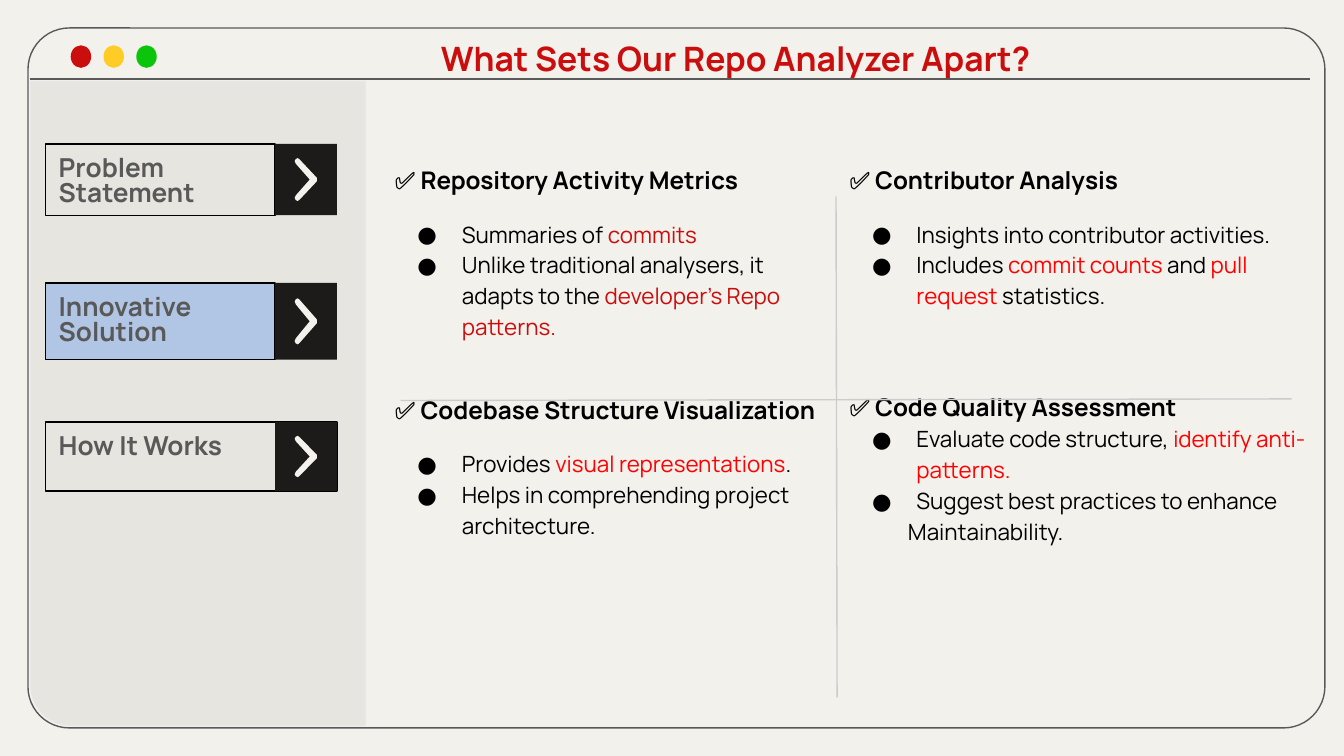
from dataclasses import dataclass

from lxml.etree import SubElement as Sub
from pptx import Presentation
from pptx.dml.color import RGBColor as RGB
from pptx.enum.shapes import MSO_CONNECTOR as Conn, MSO_SHAPE as Kind
from pptx.enum.text import MSO_ANCHOR as Anchor, MSO_AUTO_SIZE as Fit, PP_ALIGN as Align
from pptx.oxml.ns import qn
from pptx.util import Cm, Pt


@dataclass(frozen=True)
class Theme:
    font: str = "Manrope"
    paper: str = "F3F1EC"
    side: str = "E7E5DF"
    edge: str = "E7E7E7"
    rule: str = "CCCCCC"
    gray: str = "595959"
    ink: str = "000000"
    dark: str = "1C1B1A"
    light: str = "F5F1EC"
    blue: str = "4285F4"
    deep: str = "CA0D0D"
    red: str = "FF0000"
    gold: str = "FFCB25"
    green: str = "0AC50A"
    title: int = 18
    nav: int = 14
    head: int = 13
    body: int = 12


@dataclass(frozen=True)
class Box:
    x: float
    y: float
    w: float
    h: float

    def cm(self):
        return Cm(self.x), Cm(self.y), Cm(self.w), Cm(self.h)


T = Theme()

# Each row: kind, space before in points, runs of (text, colour)
LEFT = [
    ("head", 12, [("✅ Repository Activity Metrics", T.ink)]),
    ("item", 12, [("Summaries of ", T.ink), ("commits", T.deep)]),
    ("item", 0, [("Unlike traditional analysers, it adapts to the ", T.ink),
                 ("developer’s Repo patterns.", T.deep)]),
    ("head", 27, [("✅ Codebase Structure Visualization", T.ink)]),
    ("item", 12, [("Provides ", T.ink), ("visual representations", T.red), (".", T.ink)]),
    ("item", 0, [("Helps in comprehending project architecture.", T.ink)]),
]
RIGHT = [
    ("head", 12, [("✅ Contributor Analysis", T.ink)]),
    ("item", 12, [("Insights into contributor activities.", T.ink)]),
    ("item", 0, [("Includes ", T.ink), ("commit counts ", T.red), ("and", T.ink),
                 (" pull request", T.red), (" statistics.", T.ink)]),
    ("head", 42, [("✅ Code Quality Assessment", T.ink)]),
    ("item", 0, [("Evaluate code structure, ", T.ink), ("identify anti-patterns.", T.red)]),
    ("item", 0, [("Suggest best practices to enhance", T.ink)]),
    ("more", 0, [("Maintainability.", T.ink)]),
]
# Left margin and first-line indent in cm
INDENT = {"head": (0, 0), "item": (1.27, -0.84), "more": (1.11, 0)}
# Label, height, label width, active
NAV = [("Problem Statement", 1.35, 4.34, False),
       ("Innovative Solution", 1.45, 4.34, True),
       ("How It Works", 1.3, 5.51, False)]
CHEVRON = [(0.14, 0), (0.05, 0.02), (0, 0.07), (0.05, 0.13), (0.68, 0.5),
           (0.05, 0.87), (0, 0.93), (0.05, 0.98), (0.14, 1), (0.22, 0.97),
           (1, 0.54), (1, 0.46), (0.22, 0.03)]


def paint(shape, fill=None, line=None):
    shape.shadow.inherit = False
    if fill:
        shape.fill.solid()
        shape.fill.fore_color.rgb = RGB.from_string(fill)
    else:
        shape.fill.background()
    if line:
        shape.line.color.rgb = RGB.from_string(line)
        shape.line.width = Pt(0.75)
    else:
        shape.line.fill.background()
    return shape


def draw(slide, kind, box, fill=None, line=None):
    return paint(slide.shapes.add_shape(kind, *box.cm()), fill, line)


def rule(slide, x1, y1, x2, y2, color):
    line = slide.shapes.add_connector(Conn.STRAIGHT, Cm(x1), Cm(y1), Cm(x2), Cm(y2))
    line.line.color.rgb = RGB.from_string(color)
    line.line.width = Pt(0.75)
    Sub(line.element.spPr, qn("a:effectLst"))


def setup(shape):
    """Return the text frame, top anchored with even insets."""
    frame = shape.text_frame
    frame.word_wrap = True
    frame.auto_size = Fit.NONE
    frame.vertical_anchor = Anchor.TOP
    frame.margin_left = frame.margin_right = Cm(0.25)
    frame.margin_top = frame.margin_bottom = Cm(0.25)
    return frame


def write(para, text, size, color, bold=False):
    para.alignment = Align.LEFT
    run = para.add_run()
    run.text = text
    font = run.font
    font.name, font.size, font.bold = T.font, Pt(size), bold
    font.color.rgb = RGB.from_string(color)


def place(shape, box):
    shape.left, shape.top, shape.width, shape.height = box.cm()
    return setup(shape)


def window(slide, box):
    frame = draw(slide, Kind.ROUNDED_RECTANGLE, box, line=T.gray)
    frame.adjustments[0] = 0.059
    top = box.y + 0.96
    rule(slide, box.x + 0.03, top, box.x + 24.23, top, T.gray)
    for i, color in enumerate((T.deep, T.gold, T.green)):
        dot = Box(box.x + 0.82 + 0.62 * i, box.y + 0.34, 0.36, 0.4)
        draw(slide, Kind.OVAL, dot, color, color)
    panel = Box(box.x + 0.05, top + 0.05, 6.32, box.h - 1.06)
    side = draw(slide, Kind.ROUND_1_RECTANGLE, panel, T.side, T.edge)
    side.adjustments[0] = 0.12
    side.rotation = 180


def button(slide, box, text, wide, active):
    label = draw(slide, Kind.RECTANGLE, Box(box.x, box.y, wide, box.h),
                 T.blue if active else None, T.ink)
    if active:
        tint = label.element.spPr.find(qn("a:solidFill"))[0]
        Sub(tint, qn("a:alpha"), val="32000")
    para = setup(label).paragraphs[0]
    para.line_spacing = 0.8
    write(para, text, T.nav, T.gray, True)

    tile = Box(box.x + 4.34, box.y, box.w - 4.34, box.h)
    draw(slide, Kind.RECTANGLE, tile, T.dark)
    w, h = 0.42, 0.6 * tile.h
    x, y = tile.x + 0.37, tile.y + 0.2 * tile.h
    dots = [(Cm(x + w * u), Cm(y + h * v)) for u, v in CHEVRON]
    path = slide.shapes.build_freeform(*dots[0])
    path.add_line_segments(dots[1:], close=True)
    paint(path.convert_to_shape(), T.light)


def menu(slide, box):
    for i, (text, high, wide, active) in enumerate(NAV):
        button(slide, Box(box.x, box.y + 2.63 * i, box.w, high), text, wide, active)


def column(shape, box, rows):
    frame = place(shape, box)
    for i, (kind, gap, runs) in enumerate(rows):
        para = frame.add_paragraph() if i else frame.paragraphs[0]
        para.line_spacing, para.space_before = 1.15, Pt(gap)
        props = para._p.get_or_add_pPr()
        left, first = INDENT[kind]
        props.set("marL", str(Cm(left)))
        props.set("indent", str(Cm(first)))
        if kind == "item":
            Sub(Sub(props, qn("a:buClr")), qn("a:srgbClr"), val=T.ink)
            Sub(props, qn("a:buFont"), typeface=T.font)
            Sub(props, qn("a:buChar"), char="●")
        else:
            Sub(props, qn("a:buNone"))
        head = kind == "head"
        for text, color in runs:
            write(para, text, T.head if head else T.body, color, head)


def main():
    deck = Presentation()
    deck.slide_width, deck.slide_height = Cm(25.4), Cm(14.29)
    slide = deck.slides.add_slide(deck.slide_layouts[3])
    slide.background.fill.solid()
    slide.background.fill.fore_color.rgb = RGB.from_string(T.paper)
    title, left, right = slide.placeholders

    window(slide, Box(0.53, 0.53, 24.51, 13.23))
    menu(slide, Box(0.86, 2.72, 5.51, 6.56))
    head = place(title, Box(8.08, 0.46, 16.69, 0.99))
    write(head.paragraphs[0], "What Sets Our Repo Analyzer Apart?", T.title, T.deep, True)
    column(left, Box(7.21, 2.79, 8.64, 9.6), LEFT)
    column(right, Box(15.8, 2.79, 9.3, 8.28), RIGHT)
    rule(slide, 15.8, 3.71, 15.82, 13.18, T.rule)
    rule(slide, 7.57, 7.57, 24.41, 7.54, T.rule)
    deck.save("out.pptx")


if __name__ == "__main__":
    main()
